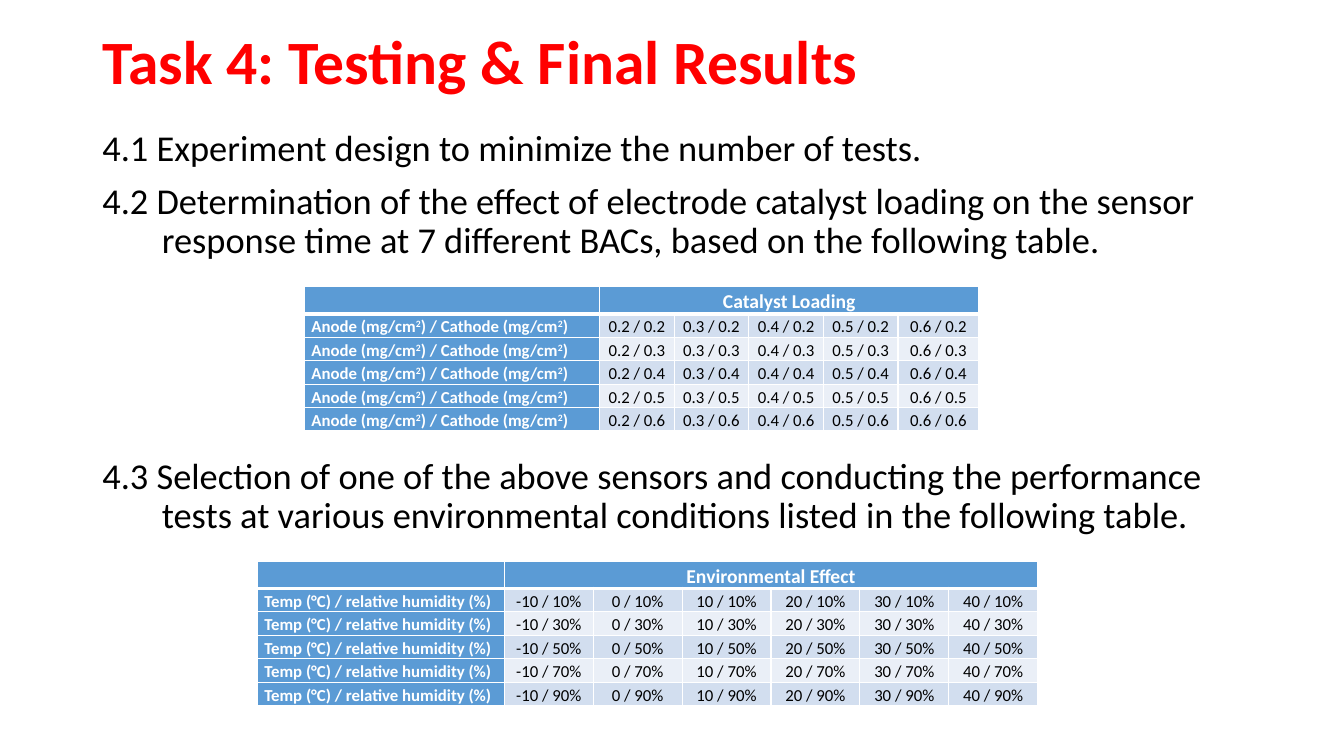
from dataclasses import dataclass

from lxml.etree import SubElement
from pptx import Presentation
from pptx.dml.color import RGBColor
from pptx.enum.text import MSO_ANCHOR, PP_ALIGN
from pptx.oxml.ns import qn
from pptx.slide import Slide
from pptx.table import _Cell
from pptx.text.text import Font, TextFrame
from pptx.util import Cm, Pt

COLORS = {
    "title": "FF0000",
    "text": "000000",
    "white": "FFFFFF",
    "header": "5B9BD5",
    "band_dark": "D2DEEF",
    "band_light": "EAEFF7",
}
FONT = "Calibri"
HANGING_INDENT = Cm(1.5)
HEADER_HEIGHT, ROW_HEIGHT = Cm(0.69), Cm(0.59)


@dataclass
class Task:
    text: str
    space_before: float


@dataclass
class ConditionTable:
    """Grid of "column / row" pairs; every row has the same label."""
    heading: str
    label: str
    column_values: list[str]
    row_values: list[str]
    left: float
    top: float
    column_widths: list[float]


TASKS = [
    Task("4.1 Experiment design to minimize the number of tests.", 10),
    Task("4.2 Determination of the effect of electrode catalyst loading on the sensor "
         "response time at 7 different BACs, based on the following table.", 10),
    Task("4.3 Selection of one of the above sensors and conducting the performance "
         "tests at various environmental conditions listed in the following table.", 140),
]

LOADINGS = ["0.2", "0.3", "0.4", "0.5", "0.6"]
TABLES = [
    ConditionTable("Catalyst Loading", "Anode (mg/cm2) / Cathode (mg/cm2)",
                   LOADINGS, LOADINGS, 7.68, 7.22, [7.43] + [1.88] * 4 + [2.04]),
    ConditionTable("Environmental Effect", "Temp (°C) / relative humidity (%)",
                   ["-10", "0", "10", "20", "30", "40"],
                   ["10%", "30%", "50%", "70%", "90%"],
                   6.49, 14.14, [6.22] + [2.24] * 6),
]


def set_font(font: Font, size: float, color: str, bold: bool = False) -> None:
    font.name = FONT
    font.size = Pt(size)
    font.bold = bold
    font.color.rgb = RGBColor.from_string(COLORS[color])


def add_text_frame(page: Slide, top: float, height: float) -> TextFrame:
    box = page.shapes.add_textbox(Cm(2.33), Cm(top), Cm(29.21), Cm(height))
    box.text_frame.word_wrap = True
    return box.text_frame


def add_title(page: Slide) -> None:
    frame = add_text_frame(page, 0.4, 2.44)
    frame.vertical_anchor = MSO_ANCHOR.MIDDLE
    para = frame.paragraphs[0]
    para.text = "Task 4: Testing & Final Results"
    para.line_spacing = 0.9
    set_font(para.font, 44, "title", bold=True)


def add_tasks(page: Slide) -> None:
    frame = add_text_frame(page, 3.15, 12.09)
    for index, task in enumerate(TASKS):
        para = frame.add_paragraph() if index else frame.paragraphs[0]
        para.text = task.text
        para.line_spacing = 0.9
        para.space_before = Pt(task.space_before)
        set_font(para.font, 26, "text")
        properties = para._p.get_or_add_pPr()
        properties.set("marL", str(HANGING_INDENT))
        properties.set("indent", str(-HANGING_INDENT))


def set_borders(cell: _Cell, bottom_width: float) -> None:
    widths = {"a:lnL": 1, "a:lnR": 1, "a:lnT": 1, "a:lnB": bottom_width}
    for tag, width in widths.items():
        line = SubElement(cell._tc.get_or_add_tcPr(), qn(tag), w=str(Pt(width)))
        fill = SubElement(line, qn("a:solidFill"))
        SubElement(fill, qn("a:srgbClr"), val=COLORS["white"])


def fill_cell(cell: _Cell, text: str, fill: str, size: float = 12, color: str = "white",
              centered: bool = True, bottom_width: float = 1) -> None:
    """Style a cell and write its text, raising each digit 2 that follows "cm"."""
    cell.margin_left = cell.margin_right = Cm(0.17)
    cell.margin_top = cell.margin_bottom = 0
    set_borders(cell, bottom_width)
    cell.fill.solid()
    cell.fill.fore_color.rgb = RGBColor.from_string(COLORS[fill])

    para = cell.text_frame.paragraphs[0]
    para.alignment = PP_ALIGN.CENTER if centered else PP_ALIGN.LEFT
    para.line_spacing = 1.15
    para.space_before = para.space_after = Pt(6)
    set_font(para.font, size, color, bold=color == "white")
    for index, part in enumerate(text.split("cm2")):
        if index:
            para.runs[-1].text += "cm"
            exponent = para.add_run()
            exponent.text = "2"
            exponent._r.get_or_add_rPr().set("baseline", "30000")
        if part:
            para.add_run().text = part
    for span in para.runs:
        set_font(span.font, size, color, bold=color == "white")


def add_condition_table(page: Slide, content: ConditionTable) -> None:
    row_count, column_count = len(content.row_values) + 1, len(content.column_widths)
    height = HEADER_HEIGHT + ROW_HEIGHT * (row_count - 1)
    frame = page.shapes.add_table(row_count, column_count, Cm(content.left), Cm(content.top),
                                  Cm(sum(content.column_widths)), height)
    table = frame.table
    table.first_col = True
    for column, width in zip(table.columns, content.column_widths):
        column.width = Cm(width)
    for index, row in enumerate(table.rows):
        row.height = ROW_HEIGHT if index else HEADER_HEIGHT

    for column in range(column_count):
        fill_cell(table.cell(0, column), content.heading if column == 1 else "",
                  "header", size=14, bottom_width=3)
    table.cell(0, 1).merge(table.cell(0, column_count - 1))

    for row, row_value in enumerate(content.row_values, start=1):
        fill_cell(table.cell(row, 0), content.label, "header", centered=False)
        band = "band_dark" if row % 2 else "band_light"
        for column, column_value in enumerate(content.column_values, start=1):
            fill_cell(table.cell(row, column), f"{column_value} / {row_value}",
                      band, color="text")


def main() -> None:
    deck = Presentation()
    deck.slide_width, deck.slide_height = Cm(33.87), Cm(19.05)
    page = deck.slides.add_slide(deck.slide_layouts[6])
    add_title(page)
    add_tasks(page)
    for content in TABLES:
        add_condition_table(page, content)
    deck.save("out.pptx")


if __name__ == "__main__":
    main()
